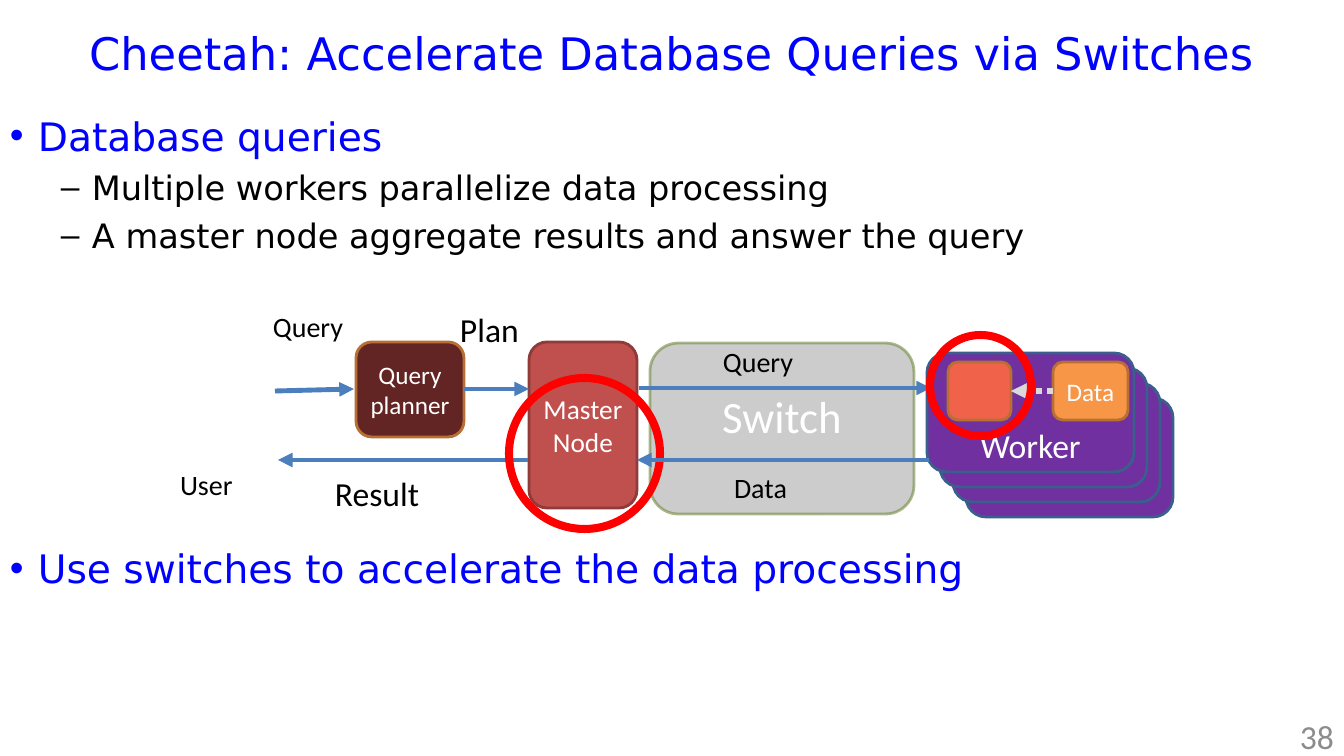
"""Build the slide on accelerating database queries via switches."""
from lxml.etree import SubElement
from pptx import Presentation
from pptx.dml.color import RGBColor
from pptx.enum.dml import MSO_LINE as Dash
from pptx.enum.shapes import MSO_CONNECTOR as Connector, MSO_SHAPE as Shape
from pptx.enum.text import MSO_ANCHOR as Anchor, PP_ALIGN as Align
from pptx.oxml.ns import qn
from pptx.util import Pt

PX = 9071
rgb = RGBColor.from_string
BLUE, BLACK, WHITE, RED = "0000FF", "000000", "FFFFFF", "FF0000"
PURPLE, NAVY, RUST, STEEL = "7030A0", "3A5F8C", "B76F34", "4B7EBC"

deck = Presentation()
deck.slide_width, deck.slide_height = 1344 * PX, 756 * PX
slide = deck.slides.add_slide(deck.slide_layouts[6])
shapes = slide.shapes


def write(frame, text, size, color, font="Calibri", align=Align.LEFT,
          anchor=Anchor.TOP, insets=(10, 5, 10, 5)):
    """Put one formatted paragraph into a text frame."""
    left, top, right, bottom = [inset * PX for inset in insets]
    layout = {"word_wrap": True, "vertical_anchor": anchor, "margin_left": left,
              "margin_top": top, "margin_right": right, "margin_bottom": bottom}
    for name, value in layout.items():
        setattr(frame, name, value)
    paragraph = frame.paragraphs[0]
    paragraph.alignment = align
    run = paragraph.add_run()
    run.text = text
    for name, value in {"size": Pt(size), "name": font}.items():
        setattr(run.font, name, value)
    run.font.color.rgb = rgb(color)


def add_arrow(start_x, start_y, end_x, end_y, color=STEEL, width=3.5, dash=None):
    """Draw an arrow with its head at the end point."""
    arrow = shapes.add_connector(Connector.STRAIGHT, start_x * PX, start_y * PX,
                                 end_x * PX, end_y * PX)
    arrow.line.color.rgb = rgb(color)
    for name, value in {"width": Pt(width), "dash_style": dash}.items():
        setattr(arrow.line, name, value)
    SubElement(arrow.line._get_or_add_ln(), qn("a:tailEnd"), type="triangle")
    SubElement(arrow._element.spPr, qn("a:effectLst"))


title = shapes.add_textbox(0, 0, 1344 * PX, 105 * PX)
write(title.text_frame, "Cheetah: Accelerate Database Queries via Switches", 32, BLUE,
      "DejaVu Sans", Align.CENTER, Anchor.MIDDLE)

outline = [
    (107, [("Database queries", 0),
           ("Multiple workers parallelize data processing", 1),
           ("A master node aggregate results and answer the query", 1)]),
    (539, [("Use switches to accelerate the data processing", 0)]),
]
levels = [("•", 28, BLUE, 28), ("–", 24, BLACK, 82)]
for top, points in outline:
    body = shapes.add_textbox(0, top * PX, 1344 * PX, 48 * len(points) * PX)
    frame = body.text_frame
    frame.word_wrap = True
    for index, (text, level) in enumerate(points):
        mark, size, color, indent = levels[level]
        point = frame.add_paragraph() if index else frame.paragraphs[0]
        point.level = level
        if index:
            point.space_before = Pt(5.6)
        properties = point._p.get_or_add_pPr()
        properties.set("marL", str(indent * PX))
        properties.set("indent", str((-28, -31)[level] * PX))
        SubElement(properties, qn("a:buFont"), typeface="Arial")
        SubElement(properties, qn("a:buChar"), char=mark)
        run = point.add_run()
        run.text = text
        for name, value in {"size": Pt(size), "name": "DejaVu Sans"}.items():
            setattr(run.font, name, value)
        run.font.color.rgb = rgb(color)

page_number = shapes.add_textbox(1030 * PX, 716 * PX, 314 * PX, 40 * PX)
write(page_number.text_frame, "38", 24, "8C8C8C", align=Align.RIGHT, anchor=Anchor.MIDDLE)

tight = (0, 5, 0, 5)
nodes = [(927 + 13 * step, 353 + 15 * step, 207, 119, PURPLE, NAVY, "", 24, Anchor.TOP, tight)
         for step in (3, 2, 1)]
nodes += [
    (927, 353, 207, 119, PURPLE, NAVY, "Worker", 24, Anchor.TOP, (10, 66, 10, 5)),
    (1053, 362, 75, 58, "F79646", RUST, "Data", 18, Anchor.MIDDLE, tight),
    (948, 362, 63, 58, "F0624A", RUST, "", 18, Anchor.MIDDLE, tight),
    (356, 342, 108, 95, "632523", RUST, "Query planner", 18, Anchor.MIDDLE, tight),
    (529, 342, 108, 166, "C0504D", "8E3B39", "Master Node", 19.5, Anchor.MIDDLE, tight),
    (650, 343, 264, 171, "808080", "738A42", "Switch", 32, Anchor.MIDDLE, (4, 5, 4, 31)),
]
for left, top, width, height, fill, border, text, size, anchor, insets in nodes:
    node = shapes.add_shape(Shape.ROUNDED_RECTANGLE, left * PX, top * PX, width * PX, height * PX)
    node.shadow.inherit = False
    node.fill.solid()
    node.fill.fore_color.rgb = rgb(fill)
    node.line.color.rgb = rgb(border)
    node.line.width = Pt(2)
    if text:
        write(node.text_frame, text, size, WHITE, align=Align.CENTER, anchor=anchor, insets=insets)
    if text == "Switch":
        for tint, alpha in zip(node._element.spPr.iter(qn("a:srgbClr")), ("40000", "60000")):
            SubElement(tint, qn("a:alpha"), val=alpha)

add_arrow(1053, 391, 1011, 391, "D9D9D9", 4, Dash.ROUND_DOT)
for route in [(275, 391, 354, 389), (464, 389, 529, 389), (639, 388, 931, 388),
              (528, 460, 278, 460)]:
    add_arrow(*route)

for left, top, diameter in [(930, 335, 101), (509, 378, 151)]:
    ring = shapes.add_shape(Shape.OVAL, left * PX, top * PX, diameter * PX, diameter * PX)
    ring.shadow.inherit = False
    ring.fill.background()
    ring.line.color.rgb = rgb(RED)
    ring.line.width = Pt(5.75)

add_arrow(929, 460, 637, 460)

labels = [
    ("User", 170, 462, 101, 20),
    ("Query", 263, 304, 155, 20),
    ("Plan", 450, 304, 105, 24),
    ("Query", 713, 339, 122, 20),
    ("Result", 325, 468, 144, 24),
    ("Data", 724, 465, 236, 20),
]
for text, left, top, width, size in labels:
    label = shapes.add_textbox(left * PX, top * PX, width * PX, 44 * PX)
    write(label.text_frame, text, size, BLACK)

deck.save("out.pptx")
